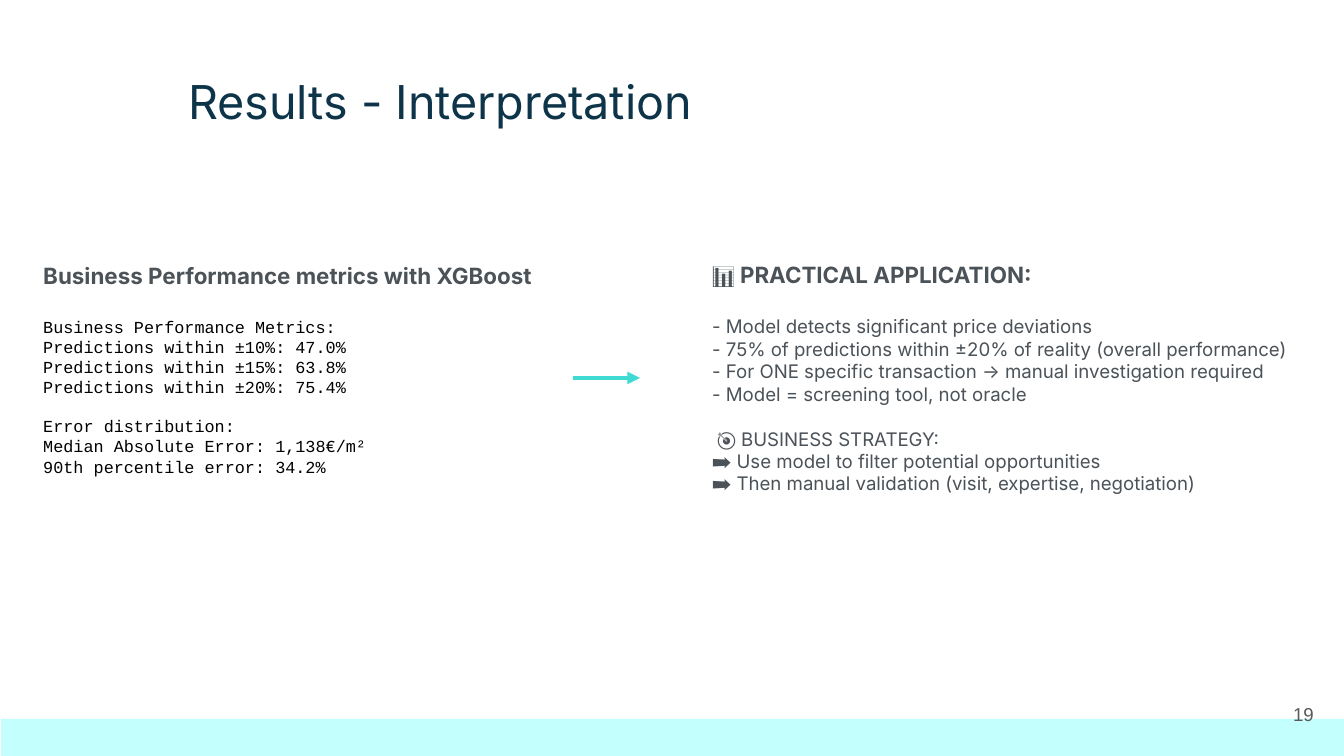
import dataclasses

import lxml.etree
import pptx
import pptx.dml.color
import pptx.enum.shapes
import pptx.enum.text
import pptx.oxml.ns
import pptx.util

ANCHOR = pptx.enum.text.MSO_ANCHOR
ALIGN = pptx.enum.text.PP_ALIGN


@dataclasses.dataclass(frozen=True)
class Style:
    """Font, size, colour and weight of a paragraph."""
    font: str
    size: int
    color: str
    bold: bool = False


class Theme:
    """Colours and type styles of the slide."""
    band = "C3FFFC"
    arrow = "3FDAD2"
    title = Style("Inter", 25, "0E3449")
    heading = Style("Inter", 12, "4B5258", True)
    body = Style("Inter", 10, "4B5258")
    output = Style("Courier New", 9, "000000")
    number = Style("Arial", 10, "595959")


METRICS = [
    "Business Performance Metrics:",
    "Predictions within ±10%: 47.0%",
    "Predictions within ±15%: 63.8%",
    "Predictions within ±20%: 75.4%",
]
ERRORS = [
    "Error distribution:",
    "Median Absolute Error: 1,138€/m²",
    "90th percentile error: 34.2%",
]
FINDINGS = [
    "- Model detects significant price deviations",
    "- 75% of predictions within ±20% of reality (overall performance)",
    "- For ONE specific transaction → manual investigation required",
    "- Model = screening tool, not oracle",
]
STRATEGY_TITLE = "🎯 BUSINESS STRATEGY:"
STRATEGY = [
    "➡️ Use model to filter potential opportunities",
    "➡️ Then manual validation (visit, expertise, negotiation)",
]


def px(n):
    """Turn pixels into EMU."""
    return pptx.util.Emu(round(n * 914400 / 134.4))


def rgb(color):
    """Return a colour object for a hex string."""
    return pptx.dml.color.RGBColor.from_string(color)


def add_text_box(s, x, y, w, h, anchor=ANCHOR.MIDDLE):
    """Add an empty wrapping text box and return its text frame."""
    tf = s.shapes.add_textbox(px(x), px(y), px(w), px(h)).text_frame
    tf.word_wrap = True
    tf.vertical_anchor = anchor
    tf.margin_left = tf.margin_right = pptx.util.Inches(0.1)
    tf.margin_top = tf.margin_bottom = pptx.util.Inches(0.1)
    return tf


def add_lines(tf, lines, style, gap=0, indent=0):
    """Append lines in one style, with a gap in points before the first."""
    for i, line in enumerate(lines):
        p = tf.paragraphs[0]
        if p.runs:
            p = tf.add_paragraph()
        if gap and i == 0:
            p.space_before = pptx.util.Pt(gap)
        if indent:
            p._p.get_or_add_pPr().set("marL", str(px(indent)))
        p.add_run().text = line
        p.font.name = style.font
        p.font.size = pptx.util.Pt(style.size)
        p.font.bold = style.bold
        p.font.color.rgb = rgb(style.color)


def add_band(s, x, y, w, h, color):
    """Add a plain filled rectangle."""
    sp = s.shapes.add_shape(pptx.enum.shapes.MSO_SHAPE.RECTANGLE,
                            px(x), px(y), px(w), px(h))
    sp.shadow.inherit = False
    sp.fill.solid()
    sp.fill.fore_color.rgb = rgb(color)
    sp.line.fill.background()


def add_arrow(s, x1, y1, x2, y2, color):
    """Add a straight line with a triangle at its end."""
    qn = pptx.oxml.ns.qn
    line = s.shapes.add_connector(pptx.enum.shapes.MSO_CONNECTOR.STRAIGHT,
                                  px(x1), px(y1), px(x2), px(y2))
    line.line.color.rgb = rgb(color)
    line.line.width = pptx.util.Pt(2.25)
    tail = lxml.etree.SubElement(line.line._get_or_add_ln(), qn("a:tailEnd"))
    tail.set("type", "triangle")
    lxml.etree.SubElement(line._element.spPr, qn("a:effectLst"))


def main():
    """Build the slide and save it."""
    prs = pptx.Presentation()
    prs.slide_width, prs.slide_height = px(1344), px(756)
    s = prs.slides.add_slide(prs.slide_layouts[6])

    title = add_text_box(s, 175, 59, 781, 78, ANCHOR.TOP)
    add_lines(title, ["Results - Interpretation"], Theme.title)
    add_band(s, 1, 719, 1343, 37, Theme.band)

    left = add_text_box(s, 30, 247, 524, 245)
    add_lines(left, ["Business Performance metrics with XGBoost"], Theme.heading)
    add_lines(left, METRICS, Theme.output, gap=14.5)
    add_lines(left, ERRORS, Theme.output, gap=10)

    right = add_text_box(s, 699, 247, 645, 262)
    add_lines(right, ["📊 PRACTICAL APPLICATION:"], Theme.heading)
    add_lines(right, FINDINGS, Theme.body, gap=14.5)
    add_lines(right, [STRATEGY_TITLE], Theme.body, gap=12, indent=5)
    add_lines(right, STRATEGY, Theme.body)

    add_arrow(s, 573, 378, 640, 378, Theme.arrow)

    number = add_text_box(s, 1246, 685, 81, 58)
    add_lines(number, ["19"], Theme.number)
    number.paragraphs[0].alignment = ALIGN.RIGHT

    prs.save("out.pptx")


if __name__ == "__main__":
    main()
